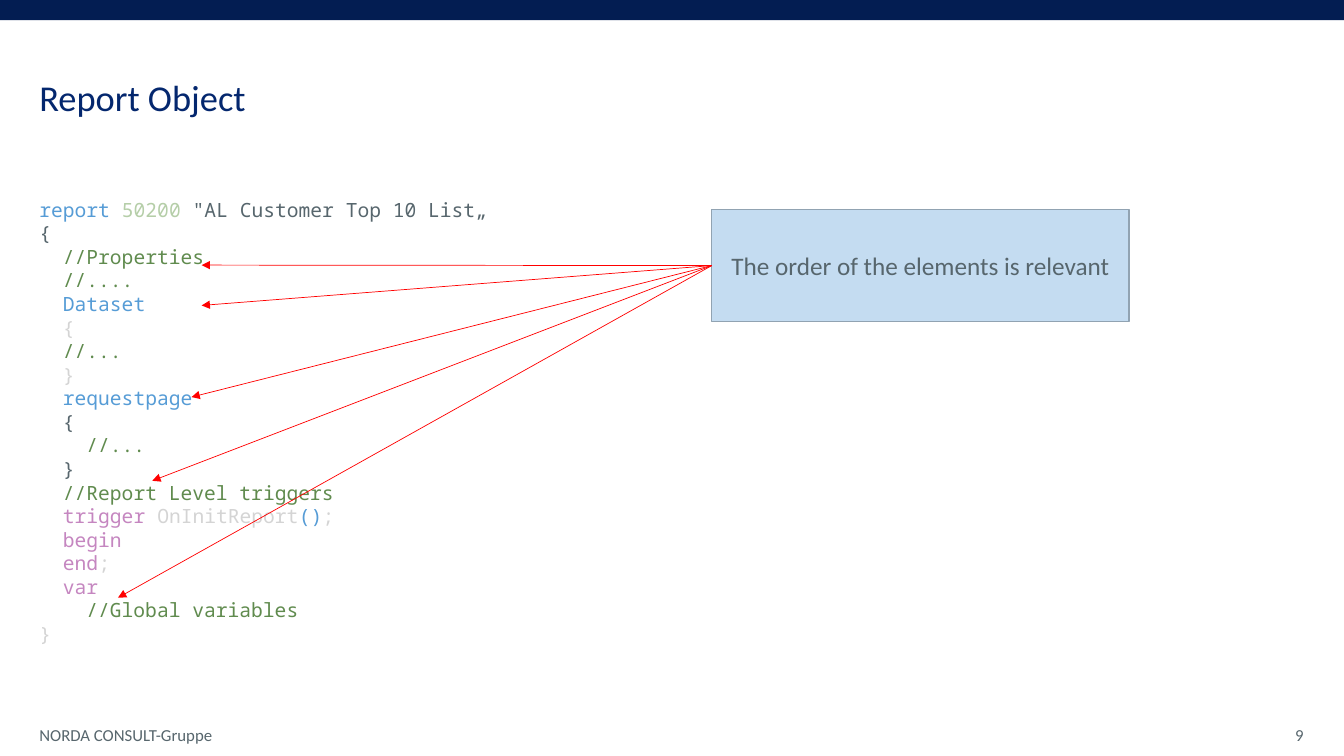
from lxml.etree import SubElement
from pptx import Presentation
from pptx.dml.color import RGBColor
from pptx.enum.shapes import MSO_CONNECTOR as Conn, MSO_SHAPE as Shape
from pptx.enum.text import MSO_ANCHOR as Anchor, MSO_AUTO_SIZE as AutoSize, PP_ALIGN as Align
from pptx.oxml.ns import qn
from pptx.util import Inches, Pt

W, H = Inches(13.33), Inches(7.5)
SANS, MONO = "Calibri", "Noto Sans Mono"
CODE_SIZE, CODE_PITCH = 14, 16.85
INDENT = Pt(CODE_SIZE * 0.6 * 2)  # two monospaced characters

COLORS = {
    "band": "031D52", "title": "04276E", "text": "57666D",
    "callout": "C4DCF1", "border": "91A3B2", "arrow": "FF0000",
    "keyword": "569CD6", "number": "B5CEA8", "comment": "608B4E",
    "pale": "D4D4D4", "control": "C586C0",
}

# Shares of the slide in percent
LEFT, WIDTH = 2.93, 94.07
FOOTER_Y, FOOTER_H = 94.53, 5.33
CALLOUT = (52.96, 27.73, 31.06, 14.8)
ARROW_TIPS = [(15, 35.07), (15, 40.4), (14.25, 52.53), (11.33, 63.6), (8.78, 79.07)]

# Code lines: depth, then (text, color) runs
CODE = [
    (0, ("report ", "keyword"), ("50200 ", "number"), ('"AL Customer Top 10 List„', "text")),
    (0, ("{", "text")),
    (1, ("//Properties", "comment")),
    (1, ("//....", "comment")),
    (1, ("Dataset", "keyword")),
    (1, ("{", "pale")),
    (1, ("//...", "comment")),
    (1, ("}", "pale")),
    (1, ("requestpage", "keyword")),
    (1, ("{", "text")),
    (2, ("//...", "comment")),
    (1, ("}", "text")),
    (1, ("//Report Level triggers", "comment")),
    (1, ("trigger ", "control"), ("OnInitReport", "pale"), ("()", "keyword"), (";", "pale")),
    (1, ("begin", "control")),
    (1, ("end", "control"), (";", "pale")),
    (1, ("var", "control")),
    (2, ("//Global variables", "comment")),
    (0, ("}", "pale")),
]


def rgb(name):
    return RGBColor.from_string(COLORS[name])


def area(x, y, w, h):
    return int(W * x / 100), int(H * y / 100), int(W * w / 100), int(H * h / 100)


def place(sp, *shares):
    sp.left, sp.top, sp.width, sp.height = area(*shares)


def setup_frame(sp, anchor, top=0):
    tf = sp.text_frame
    tf.word_wrap = True
    tf.auto_size = AutoSize.NONE
    tf.vertical_anchor = anchor
    tf.margin_left = tf.margin_right = tf.margin_bottom = 0
    tf.margin_top = top
    return tf


def add_run(p, text, size, color, font=SANS):
    r = p.add_run()
    r.text = text
    r.font.size, r.font.name = Pt(size), font
    r.font.color.rgb = rgb(color)


def add_rect(s, shares, fill, border=None):
    sp = s.shapes.add_shape(Shape.RECTANGLE, *area(*shares))
    sp.shadow.inherit = False
    sp.fill.solid()
    sp.fill.fore_color.rgb = rgb(fill)
    if border:
        sp.line.color.rgb = rgb(border)
        sp.line.width = Pt(1)
    else:
        sp.line.fill.background()
    return sp


def add_label(s, shares, text, align):
    sp = s.shapes.add_textbox(*area(*shares))
    p = setup_frame(sp, Anchor.MIDDLE).paragraphs[0]
    p.alignment = align
    add_run(p, text, 12, "text")


def fill_title(sp, text):
    place(sp, LEFT, 5.2, WIDTH, 10.53)
    p = setup_frame(sp, Anchor.BOTTOM).paragraphs[0]
    p.alignment, p.line_spacing = Align.LEFT, 0.9
    add_run(p, text, 26, "title")


def fill_code(sp, lines):
    place(sp, LEFT, 20.93, WIDTH, 71.33)
    tf = setup_frame(sp, Anchor.TOP, Inches(0.39))
    for i, (depth, *runs) in enumerate(lines):
        p = tf.add_paragraph() if i else tf.paragraphs[0]
        p.space_before = p.space_after = Pt(0)
        p.line_spacing = Pt(CODE_PITCH)
        pPr = p._p.get_or_add_pPr()
        pPr.set("marL", str(int(depth * INDENT)))
        pPr.set("indent", "0")
        SubElement(pPr, qn("a:buNone"))
        for text, color in runs:
            add_run(p, text, CODE_SIZE, color, MONO)


def add_callout(s, text):
    tf = add_rect(s, CALLOUT, "callout", "border").text_frame
    tf.word_wrap = True
    tf.vertical_anchor = Anchor.MIDDLE
    p = tf.paragraphs[0]
    p.alignment = Align.CENTER
    add_run(p, text, 18, "text")


def add_arrow(s, start, tip):
    cx = s.shapes.add_connector(Conn.STRAIGHT, *area(*start, *tip))
    cx.line.color.rgb = rgb("arrow")
    cx.line.width = Pt(0.5)
    SubElement(cx.line._get_or_add_ln(), qn("a:tailEnd"), type="triangle")
    SubElement(cx._element.spPr, qn("a:effectLst"))


def main():
    prs = Presentation()
    prs.slide_width, prs.slide_height = W, H
    s = prs.slides.add_slide(prs.slide_layouts[1])

    # Band, title and footer
    add_rect(s, (0, 0, 100, 2.67), "band")
    fill_title(s.shapes.title, "Report Object")
    add_label(s, (LEFT, FOOTER_Y, 22.5, FOOTER_H), "NORDA CONSULT-Gruppe", Align.LEFT)
    add_label(s, (76.3, FOOTER_Y, 20.7, FOOTER_H), "9", Align.RIGHT)

    # Code listing
    fill_code(s.placeholders[1], CODE)

    # Callout with arrows to the code sections
    add_callout(s, "The order of the elements is relevant")
    x, y, _, h = CALLOUT
    for tip in ARROW_TIPS:
        add_arrow(s, (x, y + h / 2), tip)

    prs.save("out.pptx")


if __name__ == "__main__":
    main()
